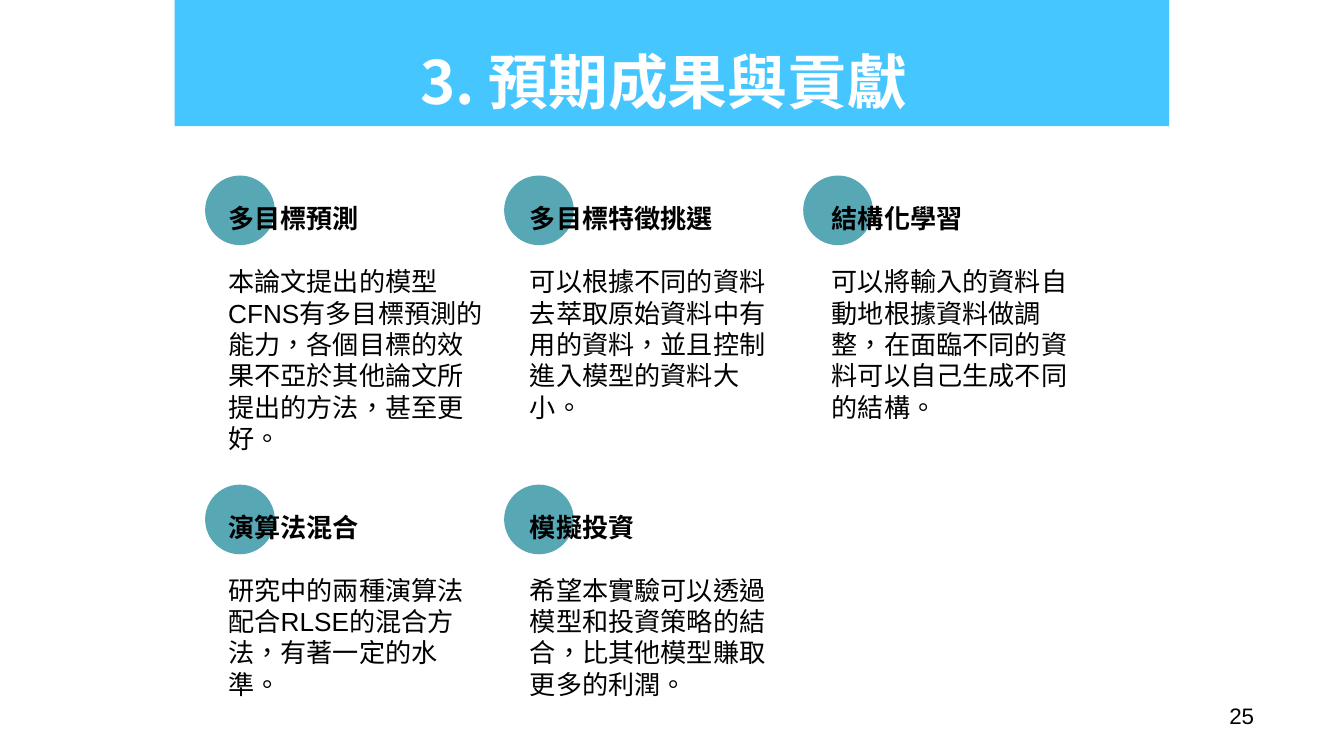
from lxml import etree
from pptx import Presentation, util as u
from pptx.dml import color
from pptx.enum import shapes, text
from pptx.oxml import ns

PX = 4572
THEME = {
    "band": "00B2FF", "band_alpha": 73, "circle": "57A7B5",
    "white": "FFFFFF", "black": "000000",
    "title": 32, "body": 14, "number": 12,
    "title_pitch": 38.4, "body_pitch": 16.8,
    "cjk": "Noto Sans CJK SC", "latin": "Arial",
}


def place(shape, left, top, width, height):
    frame = {"left": left, "top": top, "width": width, "height": height}
    for name, value in frame.items():
        setattr(shape, name, u.Emu(value * PX))


def write(para, words, size, ink, face, bold=False, **layout):
    span = para.add_run()
    span.text = words
    for name, value in {"size": u.Pt(size), "bold": bold, "name": face}.items():
        setattr(span.font, name, value)
    span.font.color.rgb = color.RGBColor.from_string(THEME[ink])
    props = span._r.get_or_add_rPr()
    props.set("lang", "zh-TW")
    etree.SubElement(props, ns.qn("a:ea")).set("typeface", THEME["cjk"])
    para._p.get_or_add_pPr().set("hangingPunct", "0")
    for name, value in layout.items():
        setattr(para, name, value)


deck = Presentation()
deck.slide_width, deck.slide_height = u.Emu(2000 * PX), u.Emu(1125 * PX)
page = deck.slides.add_slide(deck.slide_layouts[5])

band = page.shapes.add_shape(shapes.MSO_SHAPE.RECTANGLE, 0, 0, 0, 0)
place(band, 260, 0, 1480, 188)
band.shadow.inherit = False
band.fill.solid()
band.fill.fore_color.rgb = color.RGBColor.from_string(THEME["band"])
band.line.fill.background()
tint = band._element.spPr.find(".//" + ns.qn("a:srgbClr"))
etree.SubElement(tint, ns.qn("a:alpha")).set("val", str(THEME["band_alpha"] * 1000))

title = page.shapes.title
title._element.addprevious(band._element)
place(title, 248, 46, 1480, 110)
title_format = {
    "auto_size": text.MSO_AUTO_SIZE.NONE, "word_wrap": True,
    "vertical_anchor": text.MSO_ANCHOR.TOP,
    **{f"margin_{side}": u.Emu(20 * PX) for side in ("left", "right", "top", "bottom")},
}
for name, value in title_format.items():
    setattr(title.text_frame, name, value)
write(title.text_frame.paragraphs[0], "3. 預期成果與貢獻", THEME["title"], "white",
      THEME["cjk"], True, alignment=text.PP_ALIGN.CENTER,
      line_spacing=u.Pt(THEME["title_pitch"]))

outcomes = [
    ("多目標預測", "本論文提出的模型CFNS有多目標預測的能力，各個目標的效果不亞於其他論文所提出的方法，甚至更好。"),
    ("多目標特徵挑選", "可以根據不同的資料去萃取原始資料中有用的資料，並且控制進入模型的資料大小。"),
    ("結構化學習", "可以將輸入的資料自動地根據資料做調整，在面臨不同的資料可以自己生成不同的結構。"),
    ("演算法混合", "研究中的兩種演算法配合RLSE的混合方法，有著一定的水準。"),
    ("模擬投資", "希望本實驗可以透過模型和投資策略的結合，比其他模型賺取更多的利潤。"),
]
box_heights = [398, 302, 350, 256, 302]
pitch = u.Pt(THEME["body_pitch"])
for index, (heading, details) in enumerate(outcomes):
    row, column = divmod(index, 3)

    circle = page.shapes.add_shape(shapes.MSO_SHAPE.OVAL, 0, 0, 0, 0)
    place(circle, 308 + 445 * column, 264 + 460 * row, 98, 98)
    circle.shadow.inherit = False
    circle.fill.solid()
    circle.line.width = u.Pt(2)
    for paint in (circle.fill.fore_color, circle.line.color):
        paint.rgb = color.RGBColor.from_string(THEME["circle"])

    box = page.shapes.add_textbox(0, 0, 0, 0)
    place(box, 320 + 449 * column, 292 + 459 * row, 420, box_heights[index])
    box.text_frame.word_wrap = True
    write(box.text_frame.paragraphs[0], heading, THEME["body"], "black",
          THEME["cjk"], True, line_spacing=pitch)
    write(box.text_frame.add_paragraph(), details, THEME["body"], "black",
          THEME["latin"], line_spacing=pitch, space_before=pitch)

number = page.shapes.add_textbox(0, 0, 0, 0)
place(number, 1436, 1035, 450, 60)
number.text_frame.word_wrap = True
number.text_frame.vertical_anchor = text.MSO_ANCHOR.MIDDLE
write(number.text_frame.paragraphs[0], "25", THEME["number"], "black",
      THEME["latin"], alignment=text.PP_ALIGN.RIGHT)

deck.save("out.pptx")
